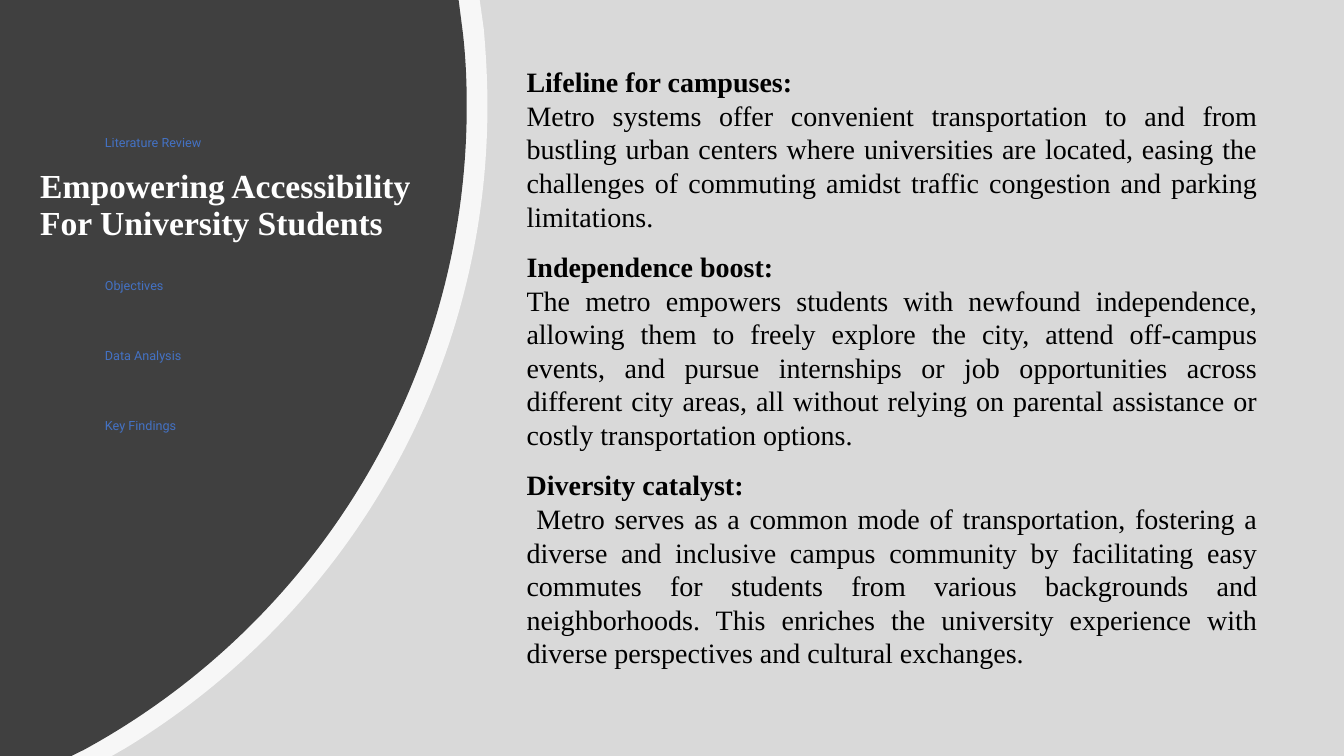
from typing import NamedTuple

from lxml import etree
from pptx import Presentation
from pptx.dml import color
from pptx.enum import shapes, text
from pptx.oxml import ns
from pptx import util as u

COLORS = {"white": "FFFFFF", "panel": "D9D9D9", "dark": "404040",
          "blue": "4472C4", "black": "000000"}
W, H = 960, 540
UNITS = 100
SERIF = "Times New Roman"

Point = tuple[float, float]


class Disc(NamedTuple):
    top: list[Point]
    curves: list[list[Point]]
    color: str
    alpha: int


class Para(NamedTuple):
    text: str
    bold: bool = False
    spacing: float = 1.0


class Box(NamedTuple):
    left: float
    top: float
    width: float
    height: float
    paras: list[Para]
    font: dict
    color: str
    align: text.PP_ALIGN = text.PP_ALIGN.LEFT
    grow: bool = True
    outline: str = ""


DISCS = [
    Disc([(0, 0), (342.7, 0), (345.6, 20.9)],
         [[(347.2, 38.9), (348.2, 57.6), (348.2, 75.6)],
          [(348.2, 270), (244.8, 439.9), (90, 534.2)]], "white", 80),
    Disc([(0, 0), (327.6, 0), (330.5, 22.3)],
         [[(332.6, 39.6), (333.4, 57.6), (333.4, 75.6)],
          [(333.4, 274.3), (222.5, 447.1), (59.8, 535.7)]], "dark", 100),
]
DISC_ENDS = {"white": [(79.9, H), (0, H)], "dark": [(51.1, H), (0, H)]}

BODY = [
    Para("Lifeline for campuses: ", True),
    Para("Metro systems offer convenient transportation to and from bustling urban "
         "centers where universities are located, easing the challenges of commuting "
         "amidst traffic congestion and parking limitations."),
    Para("Independence boost: ", True, 1.5),
    Para("The metro empowers students with newfound independence, allowing them to "
         "freely explore the city, attend off-campus events, and pursue internships or "
         "job opportunities across different city areas, all without relying on "
         "parental assistance or costly transportation options."),
    Para("Diversity catalyst:", True, 1.5),
    Para(" Metro serves as a common mode of transportation, fostering a diverse and "
         "inclusive campus community by facilitating easy commutes for students from "
         "various backgrounds and neighborhoods. This enriches the university "
         "experience with diverse perspectives and cultural exchanges."),
]

TOPICS = [("Literature Review", 92.9), ("Objectives", 194.8),
          ("Data Analysis", 244.9), ("Key Findings", 295.2)]

BOXES = [
    Box(21.6, 117.7, 293, 28.8,
        [Para("Empowering Accessibility\vFor University Students", True, 0.9)],
        {"name": SERIF, "size": u.Pt(24)}, "white", grow=False),
    *[Box(67.9, top, 480, 18, [Para(topic)],
          {"name": "Roboto", "size": u.Pt(9)}, "blue", outline="dark")
      for topic, top in TOPICS],
    Box(369, 42.6, 536.4, 443.5, BODY, {"name": SERIF, "size": u.Pt(20)},
        "black", text.PP_ALIGN.JUSTIFY),
]


def rgb(name: str) -> color.RGBColor:
    return color.RGBColor.from_string(COLORS[name])


def paint(sp, name: str, alpha: int = 100) -> None:
    sp.shadow.inherit = False
    sp.fill.solid()
    sp.fill.fore_color.rgb = rgb(name)
    sp.line.fill.background()
    if alpha < 100:
        clr = sp.fill._xPr.find(".//" + ns.qn("a:srgbClr"))
        etree.SubElement(clr, ns.qn("a:alpha"), val=str(alpha * 1000))


def bend(sp, first: int, count: int) -> None:
    lines = list(sp._element.iter(ns.qn("a:lnTo")))
    for i in range(first, first + 3 * count, 3):
        curve = etree.Element(ns.qn("a:cubicBezTo"))
        lines[i].addprevious(curve)
        for line in lines[i:i + 3]:
            curve.append(line[0])
            line.getparent().remove(line)


def add_disc(s, disc: Disc) -> None:
    points = disc.top + sum(disc.curves, []) + DISC_ENDS[disc.color]
    scaled = [(x * UNITS, y * UNITS) for x, y in points]
    fb = s.shapes.build_freeform(*scaled[0], scale=u.Pt(1) / UNITS)
    fb.add_line_segments(scaled[1:], close=False)
    sp = fb.convert_to_shape()
    bend(sp, len(disc.top) - 1, len(disc.curves))
    last = list(sp._element.iter(ns.qn("a:lnTo")))[-1]
    last.addnext(etree.Element(ns.qn("a:close")))
    paint(sp, disc.color, disc.alpha)


def add_outline(r, name: str) -> None:
    ln = etree.Element(ns.qn("a:ln"), w=str(u.Pt(0.75)))
    fill = etree.SubElement(ln, ns.qn("a:solidFill"))
    etree.SubElement(fill, ns.qn("a:srgbClr"), val=COLORS[name])
    r._r.get_or_add_rPr().insert(0, ln)


def add_box(s, box: Box) -> None:
    sp = s.shapes.add_textbox(u.Pt(box.left), u.Pt(box.top),
                              u.Pt(box.width), u.Pt(box.height))
    tf = sp.text_frame
    tf.word_wrap = True
    if box.grow:
        tf.auto_size = text.MSO_AUTO_SIZE.SHAPE_TO_FIT_TEXT
    for i, para in enumerate(box.paras):
        p = tf.add_paragraph() if i else tf.paragraphs[0]
        p.text = para.text
        p.alignment = box.align
        p.line_spacing = para.spacing
        for r in p.runs:
            for key, value in {**box.font, "bold": para.bold}.items():
                setattr(r.font, key, value)
            r.font.color.rgb = rgb(box.color)
            if box.outline:
                add_outline(r, box.outline)


def main() -> None:
    prs = Presentation()
    prs.slide_width, prs.slide_height = u.Pt(W), u.Pt(H)
    s = prs.slides.add_slide(prs.slide_layouts[6])
    background = s.shapes.add_shape(shapes.MSO_SHAPE.RECTANGLE, 0, 0, u.Pt(W), u.Pt(H))
    paint(background, "panel")
    for disc in DISCS:
        add_disc(s, disc)
    for box in BOXES:
        add_box(s, box)
    prs.save("out.pptx")


if __name__ == "__main__":
    main()
